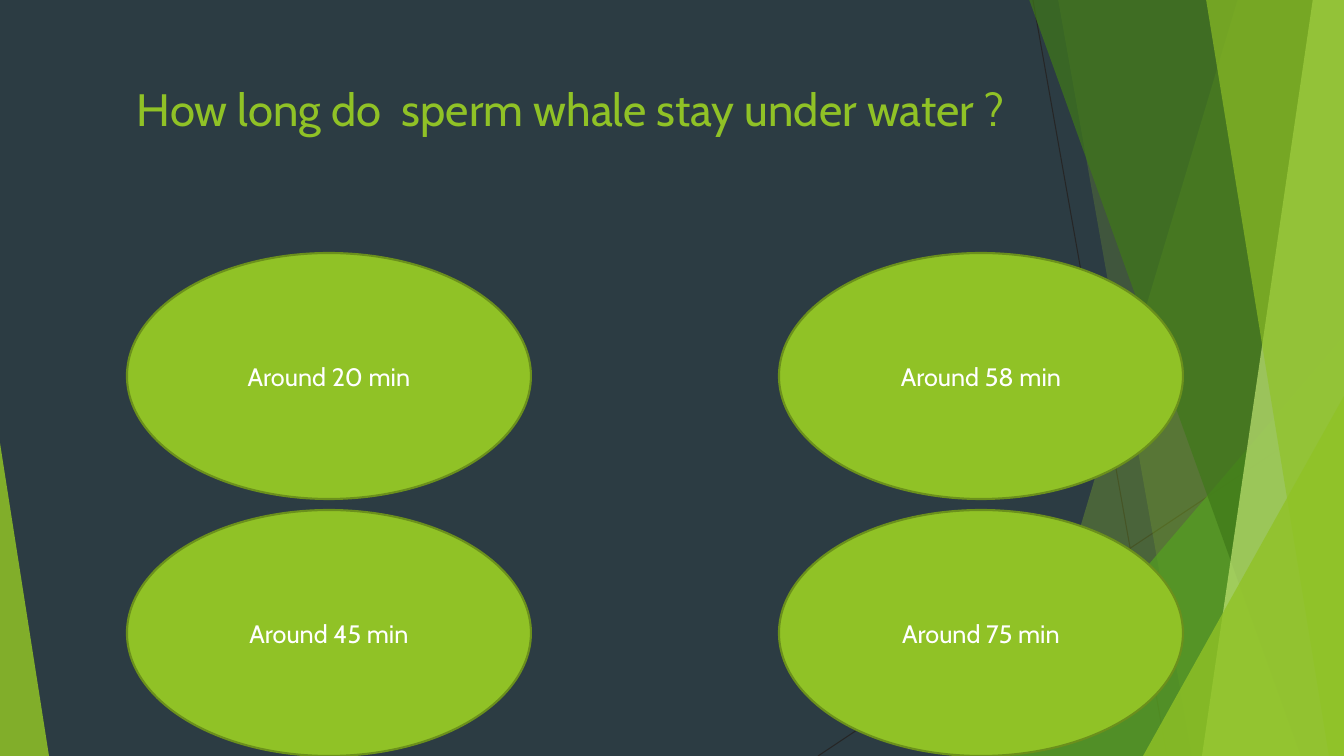
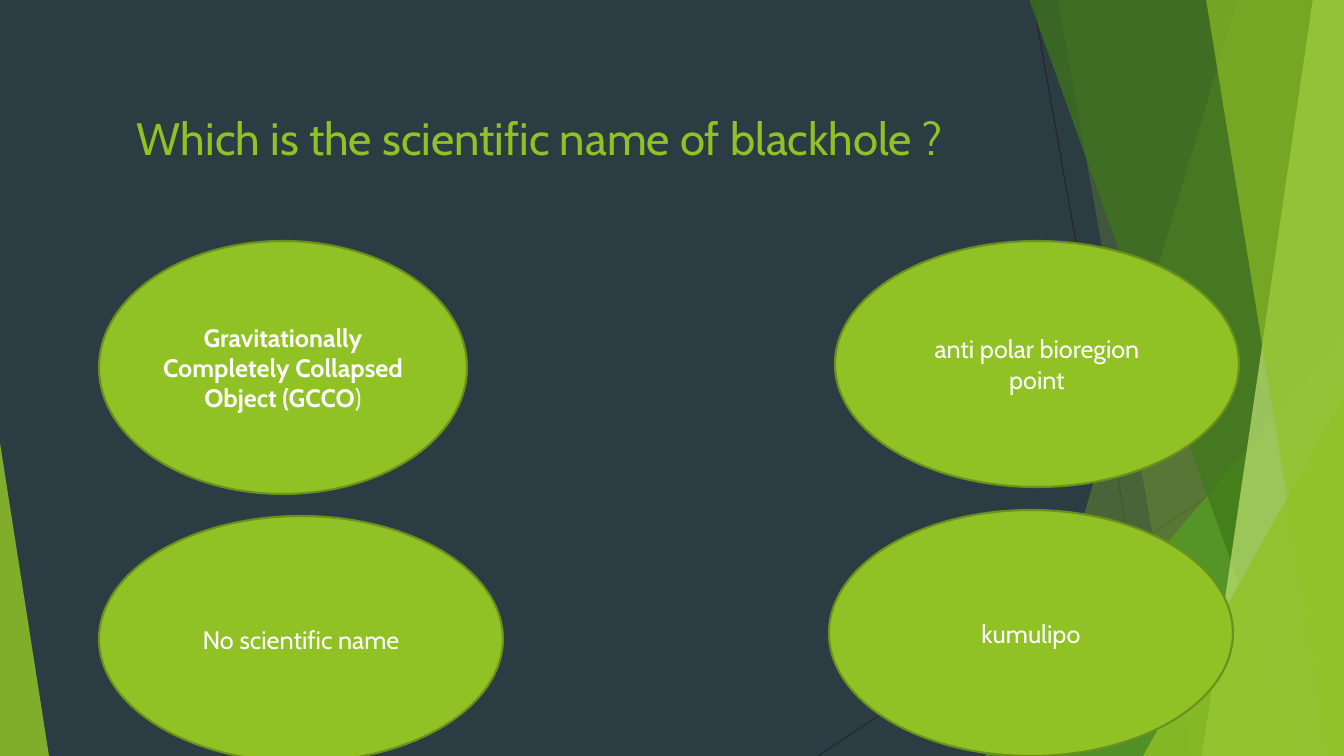
import dataclasses

import lxml.etree
import pptx
import pptx.dml.color
import pptx.enum.shapes
import pptx.enum.text
import pptx.oxml.ns
import pptx.util

WIDE, HIGH = 1344, 756
TOP = -1
OVAL = (404, 246)

# Each answer: runs of (text, bold), left, top, size
QUIZ = [
    {
        "title": "How long do  sperm whale stay under water ?",
        "box": (127, 76, 966, 122),
        "answers": [
            ([("Around 20 min", False)], 127, 253, OVAL),
            ([("Around 58 min", False)], 779, 253, OVAL),
            ([("Around 75 min", False)], 779, 510, OVAL),
            ([("Around 45 min", False)], 127, 510, OVAL),
        ],
    },
    {
        "title": "Which is the scientific name of blackhole ?",
        "box": (127, 105, 966, 114),
        "answers": [
            ([("Gravitationally Completely Collapsed Object (GCCO", True),
              (")", False)], 99, 241, (368, 253)),
            ([("kumulipo", False)], 829, 510, OVAL),
            ([("No scientific name", False)], 99, 516, OVAL),
            ([("anti polar bioregion point", False)], 835, 241, OVAL),
        ],
    },
]

LINES = [(1033, 0, 1167, HIGH), (WIDE, 406, 818, HIGH)]

# Bands run to the right edge: ("band", x at top, x at foot, colour, opacity)
# Wedges stand on the foot: ("wedge", left, top, width, peak, colour, opacity)
FACETS = [
    ("band", 1238, 1012, "lime", 30),
    ("band", 1058, 1192, "lime", 20),
    ("wedge", 985, 336, 359, 1, "green", 72),
    ("band", 1029, 1301, "dark", 70),
    ("band", 1313, 1202, "pale", 70),
    ("band", 1206, 1329, "lime", 65),
    ("wedge", 1143, 396, 201, 1, "lime", 80),
    ("wedge", 0, 443, 49, 0, "lime", 85),
]


@dataclasses.dataclass(frozen=True)
class Theme:
    """Colours, font and type sizes of the deck."""
    back: str = "2C3C43"
    lime: str = "90C226"
    green: str = "54A021"
    dark: str = "3F7819"
    pale: str = "C0E474"
    rim: str = "6B901C"
    hair: str = "262626"
    white: str = "FFFFFF"
    font: str = "Cabin"
    head: float = 32.4
    body: float = 18


THEME = Theme()
SCALE = pptx.util.Inches(1) / 100.8
KIND = pptx.enum.shapes.MSO_SHAPE
ALIGN = pptx.enum.text.PP_ALIGN
ANCHOR = pptx.enum.text.MSO_ANCHOR


def emu(*sizes):
    """Turn pixels into EMU."""
    return [pptx.util.Emu(round(size * SCALE)) for size in sizes]


def tint(name):
    """Look up a theme colour."""
    return pptx.dml.color.RGBColor.from_string(getattr(THEME, name))


def write(shape, runs, size, color, align=ALIGN.LEFT, anchor=ANCHOR.TOP):
    """Write (text, bold) runs into a shape as one paragraph."""
    frame = shape.text_frame
    frame.word_wrap = True
    frame.vertical_anchor = anchor
    para = frame.paragraphs[0]
    para.alignment = align
    for text, bold in runs:
        run = para.add_run()
        run.text = text
        run.font.name = THEME.font
        run.font.size = pptx.util.Pt(size)
        run.font.bold = bold
        run.font.color.rgb = tint(color)


def paint(shape, fill, alpha=100, rim=None):
    """Set fill, opacity in percent and outline of a shape."""
    shape.shadow.inherit = False
    shape.fill.solid()
    shape.fill.fore_color.rgb = tint(fill)
    if alpha < 100:
        tag = pptx.oxml.ns.qn("a:srgbClr")
        color = next(shape.element.spPr.iter(tag))
        lxml.etree.SubElement(color, pptx.oxml.ns.qn("a:alpha"),
                              val=str(alpha * 1000))
    if rim:
        shape.line.color.rgb = tint(rim)
        shape.line.width = pptx.util.Pt(1.5)
    else:
        shape.line.fill.background()


def hairline(shapes, ends):
    """Draw one thin line."""
    line = shapes.add_connector(
        pptx.enum.shapes.MSO_CONNECTOR.STRAIGHT, *emu(*ends))
    line.line.color.rgb = tint("hair")
    line.line.width = pptx.util.Pt(0.75)
    lxml.etree.SubElement(line.element.spPr, pptx.oxml.ns.qn("a:effectLst"))


def band(shapes, head, foot):
    """Outline a slanted band that ends at the right edge."""
    build = shapes.build_freeform(head, TOP, scale=SCALE)
    build.add_line_segments([(WIDE, TOP), (WIDE, HIGH), (foot, HIGH)])
    return build.convert_to_shape()


def wedge(shapes, left, top, width, peak):
    """Add a triangle that stands on the foot of the slide."""
    shape = shapes.add_shape(KIND.ISOSCELES_TRIANGLE,
                             *emu(left, top, width, HIGH - top))
    shape.adjustments[0] = peak
    return shape


def dress(layout, slide):
    """Draw the shared backdrop on a slide and move it to the layout."""
    layout.background.fill.solid()
    layout.background.fill.fore_color.rgb = tint("back")
    tree = layout.shapes.element
    for holder in list(layout.placeholders):
        tree.remove(holder.element)
    for ends in LINES:
        hairline(slide.shapes, ends)
    make = {"band": band, "wedge": wedge}
    for kind, *place, color, alpha in FACETS:
        paint(make[kind](slide.shapes, *place), color, alpha)
    for shape in list(slide.shapes):
        tree.append(shape.element)


def fill(slide, quiz):
    """Add the question and its oval answers."""
    title = slide.shapes.add_textbox(*emu(*quiz["box"]))
    write(title, [(quiz["title"], False)], THEME.head, "lime")
    for runs, left, top, size in quiz["answers"]:
        oval = slide.shapes.add_shape(KIND.OVAL, *emu(left, top, *size))
        paint(oval, "lime", rim="rim")
        write(oval, runs, THEME.body, "white", ALIGN.CENTER, ANCHOR.MIDDLE)


def main():
    """Build and save the deck."""
    deck = pptx.Presentation()
    deck.slide_width, deck.slide_height = emu(WIDE, HIGH)
    blank = deck.slide_layouts[6]
    slides = [deck.slides.add_slide(blank) for _ in QUIZ]
    dress(blank, slides[0])
    for slide, quiz in zip(slides, QUIZ):
        fill(slide, quiz)
    deck.save("out.pptx")


main()
